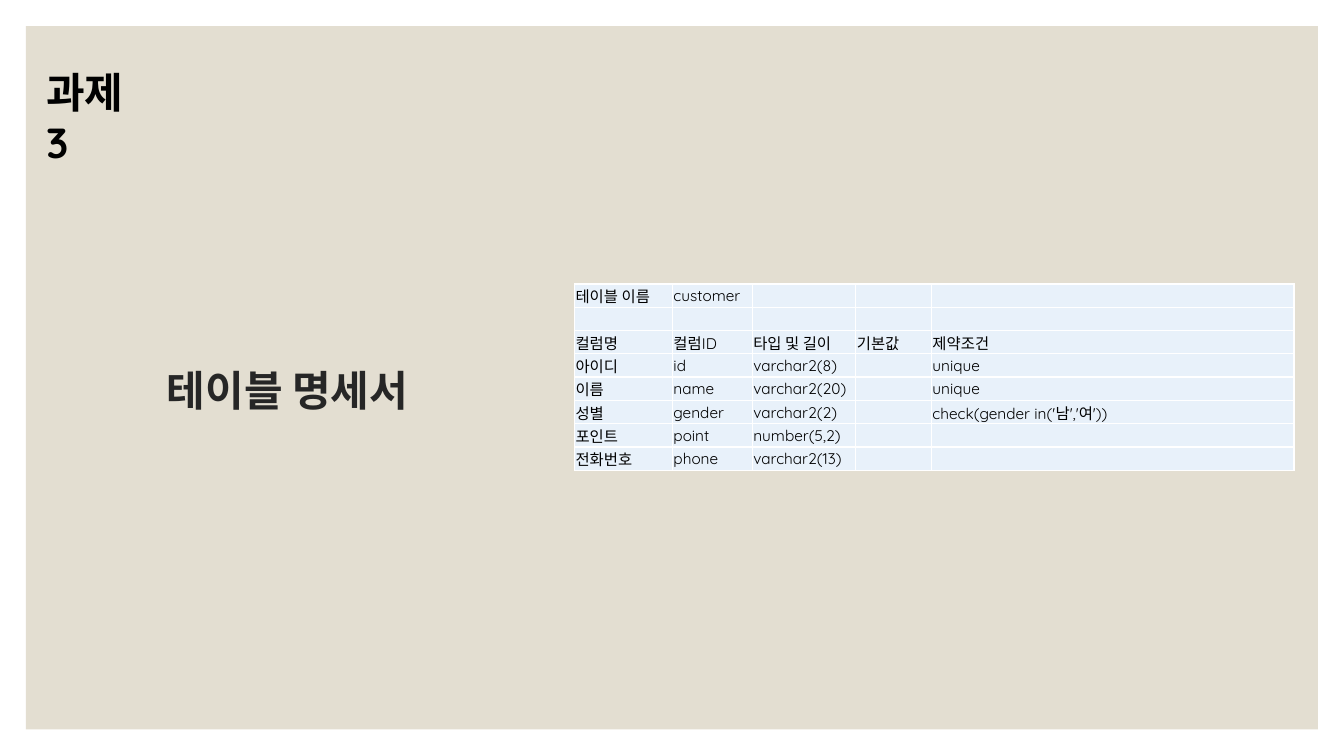
"""Build the customer table specification slide."""
from dataclasses import dataclass

from lxml.etree import SubElement
from pptx import Presentation
from pptx.dml.color import RGBColor
from pptx.enum.shapes import MSO_SHAPE as Shape
from pptx.enum.text import MSO_ANCHOR as Anchor, PP_ALIGN as Align
from pptx.oxml.ns import qn
from pptx.util import Pt


@dataclass(frozen=True)
class Theme:
    panel: RGBColor = RGBColor.from_string("E3DED1")
    cell: RGBColor = RGBColor.from_string("E8F1FA")
    border: str = "FFFFFF"
    text: RGBColor = RGBColor.from_string("000000")
    heading: RGBColor = RGBColor.from_string("262626")
    latin: str = "Quicksand"
    korean: str = "Noto Sans CJK KR"
    title_size: int = 30
    table_size: int = 11


theme = Theme()


def style_paragraph(paragraph, name, size, color, bold=False):
    font = paragraph.font
    font.name, font.size, font.bold = name, Pt(size), bold
    font.color.rgb = color
    defaults = paragraph._p.pPr.find(qn("a:defRPr"))
    SubElement(defaults, qn("a:ea"), typeface=theme.korean)


def add_borders(cell):
    properties = cell._tc.get_or_add_tcPr()
    for side in ("a:lnL", "a:lnR", "a:lnT", "a:lnB"):
        line = SubElement(properties, qn(side), w=str(Pt(1)))
        fill = SubElement(line, qn("a:solidFill"))
        SubElement(fill, qn("a:srgbClr"), val=theme.border)


presentation = Presentation()
presentation.slide_width, presentation.slide_height = Pt(960), Pt(540)
slide = presentation.slides.add_slide(presentation.slide_layouts[6])

panel = slide.shapes.add_shape(Shape.RECTANGLE, Pt(18.6), Pt(18.6), Pt(922.8), Pt(502.5))
panel.shadow.inherit = False
panel.fill.solid()
panel.fill.fore_color.rgb = theme.panel
panel.line.fill.background()

rows = [
    ("테이블 이름", "customer", "", "", ""),
    ("", "", "", "", ""),
    ("컬럼명", "컬럼ID", "타입 및 길이", "기본값", "제약조건"),
    ("아이디", "id", "varchar2(8)", "", "unique"),
    ("이름", "name", "varchar2(20)", "", "unique"),
    ("성별", "gender", "varchar2(2)", "", "check(gender in('남','여'))"),
    ("포인트", "point", "number(5,2)", "", ""),
    ("전화번호", "phone", "varchar2(13)", "", ""),
]
column_widths = [70, 57, 74, 54, 259]
row_height = 16.5

table = slide.shapes.add_table(
    len(rows), len(column_widths), Pt(410.4), Pt(202.8),
    Pt(sum(column_widths)), Pt(row_height * len(rows)),
).table
for column, width in zip(table.columns, column_widths):
    column.width = Pt(width)
for row, values in zip(table.rows, rows):
    row.height = Pt(row_height)
    for cell, value in zip(row.cells, values):
        cell.margin_left = cell.margin_right = cell.margin_top = Pt(0.7)
        cell.margin_bottom = 0
        cell.vertical_anchor = Anchor.MIDDLE
        add_borders(cell)
        cell.fill.solid()
        cell.fill.fore_color.rgb = theme.cell
        paragraph = cell.text_frame.paragraphs[0]
        if value:
            paragraph.text = value
        else:
            SubElement(paragraph._p, qn("a:endParaRPr"), sz=str(theme.table_size * 100))
        style_paragraph(paragraph, theme.latin, theme.table_size, theme.text)

task_label = slide.shapes.add_textbox(Pt(26), Pt(44), Pt(101), Pt(44))
task_label.text_frame.word_wrap = True
task_label.text_frame.margin_right = Pt(30)
paragraph = task_label.text_frame.paragraphs[0]
paragraph.text = "과제 3"
style_paragraph(paragraph, theme.latin, theme.title_size, theme.text, bold=True)

heading = slide.shapes.add_textbox(Pt(38), Pt(56), Pt(335), Pt(449))
heading.text_frame.word_wrap = True
heading.text_frame.vertical_anchor = Anchor.MIDDLE
paragraph = heading.text_frame.paragraphs[0]
paragraph.text = "테이블 명세서"
paragraph.alignment = Align.CENTER
paragraph.line_spacing = 0.9
style_paragraph(paragraph, theme.korean, theme.title_size, theme.heading, bold=True)

presentation.save("out.pptx")
